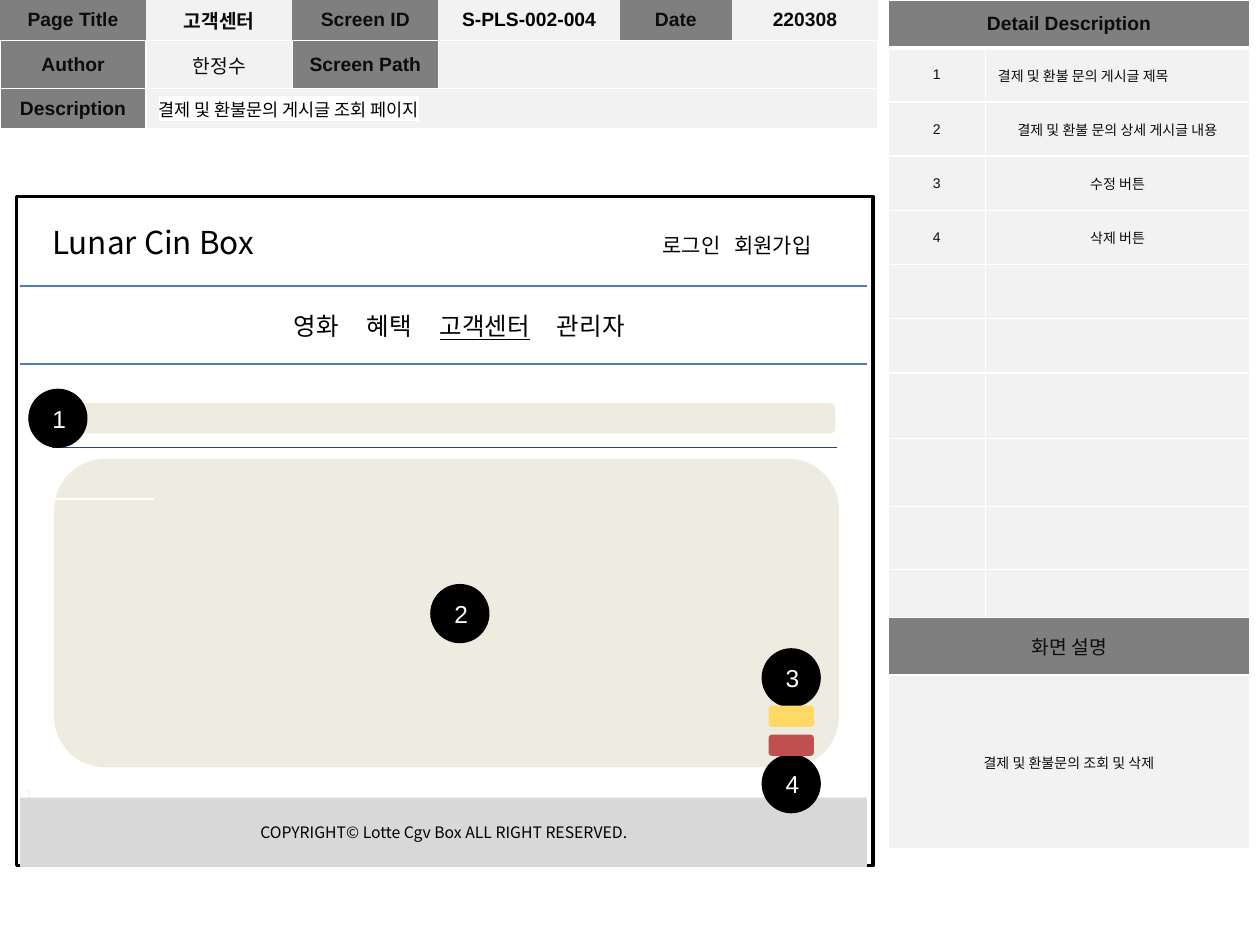
from dataclasses import dataclass
from typing import Optional

import pptx
import pptx.dml.color
import pptx.enum.shapes
import pptx.enum.text
import pptx.oxml
import pptx.oxml.ns
import pptx.util

Inches = pptx.util.Inches
Pt = pptx.util.Pt
Kind = pptx.enum.shapes.MSO_SHAPE
Align = pptx.enum.text.PP_ALIGN
Anchor = pptx.enum.text.MSO_ANCHOR
NS = pptx.oxml.ns.nsdecls("a")


@dataclass(frozen=True)
class Theme:
    latin: str = "Arial"
    korean: str = "Noto Sans CJK KR"
    ink: str = "000000"
    soft: str = "0C0C0C"
    white: str = "FFFFFF"
    head: str = "7F7F7F"
    cell: str = "F2F2F2"
    foot: str = "D8D8D8"
    panel: str = "EEECE1"
    rule: str = "4A7DBA"
    navy: str = "1F497D"
    red: str = "C0504D"
    gold: str = "FFD966"
    tiny: int = 8
    small: int = 9
    body: int = 10
    label: int = 11
    link: int = 12
    menu: int = 14
    brand: int = 18


T = Theme()


@dataclass
class Cell:
    row: int
    col: int
    text: str = ""
    fill: str = T.cell
    span: int = 1
    size: int = T.label
    bold: bool = False
    color: str = T.soft
    align: Align = Align.CENTER
    mark: Optional[str] = None


@dataclass
class Block:
    kind: Kind
    left: float
    top: float
    width: float
    height: float
    fill: Optional[str] = None
    line: Optional[str] = None
    weight: float = 0.75


@dataclass
class Rule:
    left: float
    right: float
    top: float
    color: str


def rgb(code: str):
    return pptx.dml.color.RGBColor.from_string(code)


def style(run, size: int, color: str, face: str, bold: bool = False) -> None:
    font = run.font
    font.size, font.bold, font.name = Pt(size), bold, face
    font.color.rgb = rgb(color)
    east = pptx.oxml.parse_xml(f'<a:ea {NS} typeface="{T.korean}"/>')
    run._r.rPr.find(pptx.oxml.ns.qn("a:latin")).addnext(east)


def shade(run, color: str) -> None:
    """Put a highlight behind a run that already has a colour."""
    mark = pptx.oxml.parse_xml(f'<a:highlight {NS}><a:srgbClr val="{color}"/></a:highlight>')
    run._r.rPr.find(pptx.oxml.ns.qn("a:solidFill")).addnext(mark)


def edge(cell, widths: dict) -> None:
    """Draw white cell borders; sides without a width get no line."""
    props = cell._tc.get_or_add_tcPr()
    for spot, side in enumerate("LRTB"):
        width = widths.get(side, 0)
        paint = f'<a:solidFill><a:srgbClr val="{T.white}"/></a:solidFill>' if width else "<a:noFill/>"
        props.insert(spot, pptx.oxml.parse_xml(
            f'<a:ln{side} {NS} w="{Pt(width)}">{paint}</a:ln{side}>'))


def draw_grid(slide, left: float, cols: list, rows: list, cells: list, top_edge: dict):
    frame = slide.shapes.add_table(len(rows), len(cols), Inches(left), 0,
                                   Inches(sum(cols)), Inches(sum(rows)))
    table = frame.table
    table.first_row = table.horz_banding = False
    for col, width in zip(table.columns, cols):
        col.width = Inches(width)
    for row, height in zip(table.rows, rows):
        row.height = Inches(height)
    for y in range(len(rows)):
        for x in range(len(cols)):
            cell = table.cell(y, x)
            cell.fill.solid()
            cell.fill.fore_color.rgb = rgb(T.cell)
            edge(cell, top_edge if y == 0 else dict.fromkeys("LRTB", 1))
            cell.text_frame.paragraphs[0]._p.get_or_add_endParaRPr().set("sz", str(T.tiny * 100))
    for item in cells:
        cell = table.cell(item.row, item.col)
        if item.span > 1:
            cell.merge(table.cell(item.row, item.col + item.span - 1))
        cell.fill.fore_color.rgb = rgb(item.fill)
        cell.vertical_anchor = Anchor.MIDDLE
        if item.text:
            line = cell.text_frame.paragraphs[0]
            line.text, line.alignment = item.text, item.align
            style(line.runs[0], item.size, item.color, T.latin, item.bold)
            if item.mark:
                shade(line.runs[0], item.mark)


def draw_block(slide, item: Block):
    shape = slide.shapes.add_shape(item.kind, Inches(item.left), Inches(item.top),
                                   Inches(item.width), Inches(item.height))
    shape.shadow.inherit = False
    if item.fill:
        shape.fill.solid()
        shape.fill.fore_color.rgb = rgb(item.fill)
    else:
        shape.fill.background()
    if item.line:
        shape.line.color.rgb, shape.line.width = rgb(item.line), Pt(item.weight)
    else:
        shape.line.fill.background()
    return shape


def draw_badge(slide, text: str, left: float, top: float) -> None:
    frame = draw_block(slide, Block(Kind.OVAL, left, top, 0.46, 0.46, T.ink, T.ink)).text_frame
    frame.margin_top = frame.margin_bottom = Inches(0.1)
    frame.text = text
    line = frame.paragraphs[0]
    line.alignment = Align.CENTER
    line._p.get_or_add_pPr().set("marL", str(Inches(0.02)))
    style(line.runs[0], T.menu, T.white, T.latin)


def draw_rule(slide, item: Rule) -> None:
    line = slide.shapes.add_connector(pptx.enum.shapes.MSO_CONNECTOR.STRAIGHT, Inches(item.left),
                                      Inches(item.top), Inches(item.right), Inches(item.top))
    line.line.color.rgb, line.line.width = rgb(item.color), Pt(0.75)
    line._element.spPr.append(pptx.oxml.parse_xml(f"<a:effectLst {NS}/>"))


def draw_text(slide, words: list, box: tuple, size: int, color: str = T.ink,
              align: Align = Align.CENTER, inset: float = 0.1, tabs: tuple = ()):
    """Write words on one line, each after the first at a tab stop."""
    frame = slide.shapes.add_textbox(*map(Inches, box)).text_frame
    frame.word_wrap, frame.margin_left = True, Inches(inset)
    line = frame.paragraphs[0]
    line.alignment = align
    if tabs:
        stops = "".join(f'<a:tab pos="{Inches(tab)}" algn="l"/>' for tab in tabs)
        line._p.get_or_add_pPr().append(pptx.oxml.parse_xml(f"<a:tabLst {NS}>{stops}</a:tabLst>"))
    for spot, word in enumerate(words):
        for part in (["\t"] if spot else []) + [word]:
            run = line.add_run()
            run.text = part
            style(run, size, color, T.korean)
    return line


def main() -> None:
    deck = pptx.Presentation()
    deck.slide_width, deck.slide_height = Inches(10), Inches(7.5)
    slide = deck.slides.add_slide(deck.slide_layouts[6])

    heads = [(0, 0, "Page Title"), (0, 2, "Screen ID"), (0, 4, "Date"),
             (1, 0, "Author"), (1, 2, "Screen Path"), (2, 0, "Description")]
    cells = [Cell(*head, fill=T.head, bold=True) for head in heads] + [
        Cell(0, 1, "고객센터", bold=True),
        Cell(0, 3, "S-PLS-002-004", bold=True, color=T.ink),
        Cell(0, 5, "220308", bold=True),
        Cell(1, 1, "한정수"),
        Cell(1, 3, span=3),
        Cell(2, 1, "결제 및 환불문의 게시글 조회 페이지", span=5, size=T.body,
             color=T.ink, align=Align.LEFT, mark=T.white)]
    draw_grid(slide, 0, [1.16, 1.16, 1.16, 1.44, 0.89, 1.16], [0.32, 0.38, 0.32], cells, {"B": 1})

    notes = ["결제 및 환불 문의 게시글 제목", "결제 및 환불 문의 상세 게시글 내용", "수정 버튼", "삭제 버튼"]
    cells = [Cell(0, 0, "Detail Description", T.head, 2, bold=True),
             Cell(11, 0, "화면 설명", T.head, 2),
             Cell(12, 0, "결제 및 환불문의 조회 및 삭제", span=2, size=T.tiny)]
    for row, note in enumerate(notes, 1):
        align = Align.LEFT if row == 1 else Align.CENTER
        cells += [Cell(row, 0, str(row), size=T.tiny),
                  Cell(row, 1, note, size=T.tiny, align=align)]
    draw_grid(slide, 7.05, [0.77, 2.1],
              [0.38] + [0.43] * 6 + [0.52, 0.54, 0.5, 0.38, 0.46, 1.38],
              cells, {"L": 1, "R": 1, "T": 1, "B": 3})

    draw_text(slide, ["1"], (0.1, 6.19, 0.26, 0.24), T.tiny, T.cell)
    draw_block(slide, Block(Kind.RECTANGLE, 0.13, 1.56, 6.8, 5.31, line=T.ink, weight=2))
    draw_text(slide, ["Lunar Cin Box"], (0.31, 1.72, 1.81, 0.4), T.brand)
    draw_text(slide, ["로그인", "회원가입"], (5.16, 1.8, 1.56, 0.3), T.link,
              align=Align.LEFT, tabs=(0.57,))
    menu = draw_text(slide, ["영화", "혜택", "고객센터", "관리자"], (1.95, 2.42, 3.39, 0.34),
                     T.menu, align=Align.LEFT, inset=0.38, tabs=(0.58, 1.16, 2.09))
    menu.runs[4].font.underline = True

    foot = draw_block(slide, Block(Kind.RECTANGLE, 0.16, 6.33, 6.72, 0.55, T.foot))
    foot.text_frame.text = "COPYRIGHT© Lotte Cgv Box ALL RIGHT RESERVED."
    foot.text_frame.paragraphs[0].alignment = Align.CENTER
    style(foot.text_frame.paragraphs[0].runs[0], T.small, T.ink, T.korean)

    for panel in [(0.43, 3.64, 6.23, 2.45), (0.43, 3.2, 6.2, 0.24)]:
        draw_block(slide, Block(Kind.ROUNDED_RECTANGLE, *panel, T.panel))
    for rule in [Rule(0.16, 6.88, 2.27, T.rule), Rule(0.16, 6.88, 2.89, T.rule),
                 Rule(0.31, 1.22, 3.96, T.white), Rule(0.41, 6.64, 3.55, T.navy)]:
        draw_rule(slide, rule)
    for badge in [("2", 3.42, 4.64), ("3", 6.05, 5.15), ("1", 0.23, 3.09), ("4", 6.05, 5.99)]:
        draw_badge(slide, *badge)
    for top, color in [(5.83, T.red), (5.6, T.gold)]:
        draw_block(slide, Block(Kind.ROUNDED_RECTANGLE, 6.1, top, 0.36, 0.17, color))

    deck.save("out.pptx")


if __name__ == "__main__":
    main()
